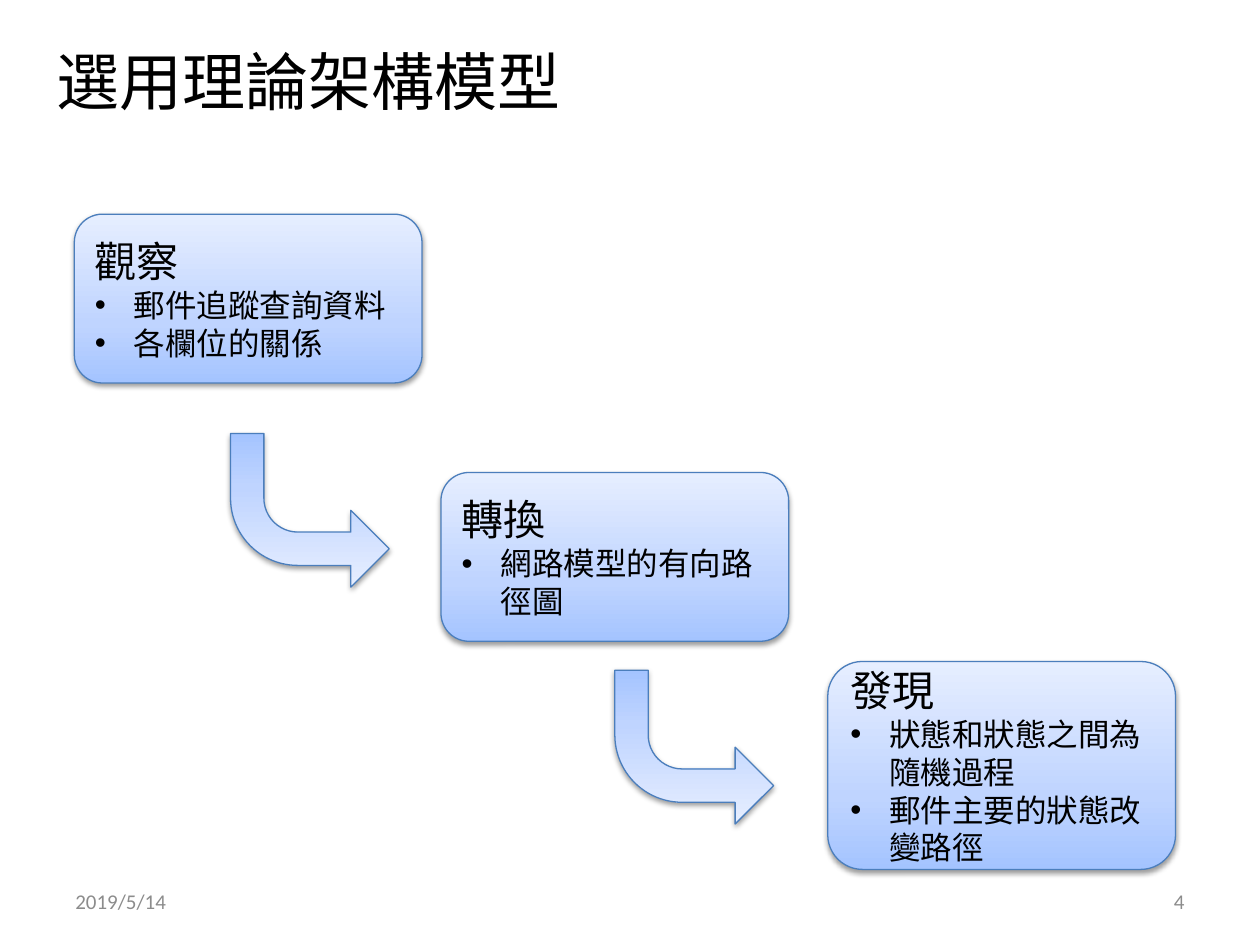
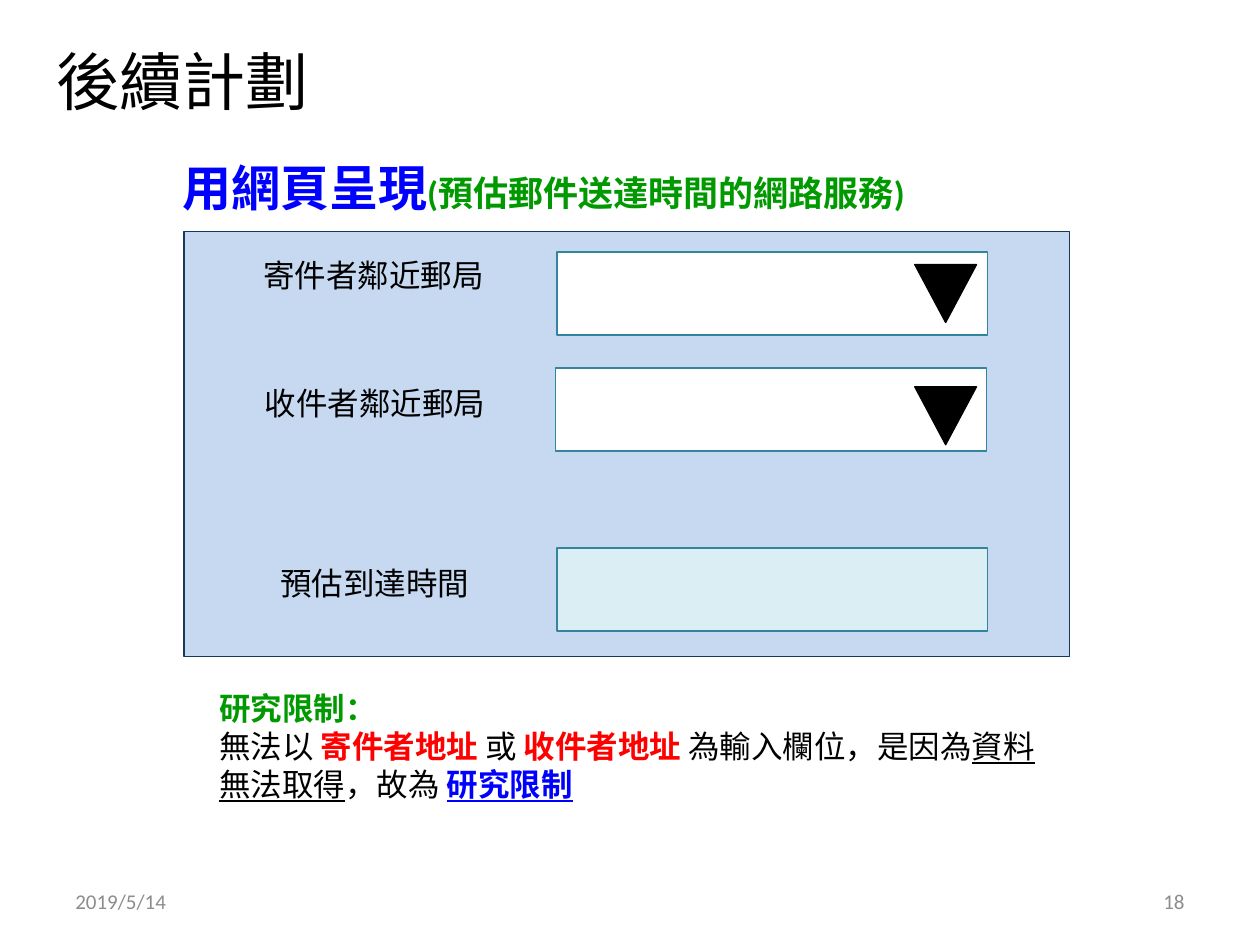
from lxml import etree
from pptx import Presentation
from pptx import util as u
from pptx.dml.color import RGBColor
from pptx.enum import shapes, text
from pptx.oxml import ns, parse_xml

COLORS = {
    "black": "000000", "white": "FFFFFF", "footer": "8C8C8C",
    "blue": "0000FF", "green": "009900", "red": "FF0000",
    "step_line": "4B7EBC", "panel": "C6D9F1", "panel_line": "17375E",
    "field_line": "31859C", "result": "DBEEF4",
}
STEP_GRADIENT = [(0, "A4C4FF"), (35, "BFD4FF"), (100, "E6EEFF")]
CJK_FONT = "Noto Sans CJK SC"
LATIN_FONT = "Calibri"
DATE = "2019/5/14"
KINDS = shapes.MSO_SHAPE
ALIGN = text.PP_ALIGN
ANCHOR = text.MSO_ANCHOR


def rgb(name):
    return RGBColor.from_string(COLORS[name])


def inches(*values):
    return [u.Inches(value) for value in values]


def add_span(para, words, size, color="black", font=LATIN_FONT, **formats):
    span = para.add_run()
    span.text = words
    formats = {"name": font, "size": u.Pt(size), **formats}
    for key, value in formats.items():
        setattr(span.font, key, value)
    span.font.color.rgb = rgb(color)
    east_asian = etree.SubElement(span.font._element, ns.qn("a:ea"))
    east_asian.set("typeface", CJK_FONT)


def prepare_frame(box, anchor):
    frame = box.text_frame
    settings = {"word_wrap": True, "auto_size": text.MSO_AUTO_SIZE.NONE,
                "vertical_anchor": anchor}
    for key, value in settings.items():
        setattr(frame, key, value)
    return frame


def add_text(page, place, paragraphs, align=ALIGN.LEFT, anchor=ANCHOR.TOP):
    frame = prepare_frame(page.shapes.add_textbox(*inches(*place)), anchor)
    for index, spans in enumerate(paragraphs):
        para = frame.add_paragraph() if index else frame.paragraphs[0]
        para.alignment = align
        for words, size, color, formats in spans:
            add_span(para, words, size, color, **formats)


def add_outlined(page, kind, place, line):
    shape = page.shapes.add_shape(kind, *inches(*place))
    shape.shadow.inherit = False
    shape.line.color.rgb = rgb(line)
    shape.line.width = u.Pt(0.75)
    return shape


def add_solid(page, kind, place, fill, line):
    shape = add_outlined(page, kind, place, line)
    shape.fill.solid()
    shape.fill.fore_color.rgb = rgb(fill)
    return shape


def add_glossy(page, kind, place):
    shape = add_outlined(page, kind, place, "step_line")
    properties = shape._element.spPr
    stops = "".join(
        f'<a:gs pos="{share * 1000}"><a:srgbClr val="{color}"/></a:gs>'
        for share, color in STEP_GRADIENT)
    gradient = parse_xml(
        f'<a:gradFill {ns.nsdecls("a")} rotWithShape="1"><a:gsLst>{stops}</a:gsLst>'
        '<a:lin ang="16200000" scaled="0"/></a:gradFill>')
    properties.find(ns.qn("a:prstGeom")).addnext(gradient)
    shadow = parse_xml(
        f'<a:outerShdw {ns.nsdecls("a")} blurRad="{u.Pt(3.1)}" dist="{u.Pt(1.6)}" '
        'dir="5400000" rotWithShape="0"><a:srgbClr val="000000">'
        '<a:alpha val="38000"/></a:srgbClr></a:outerShdw>')
    properties.find(ns.qn("a:effectLst")).append(shadow)
    return shape


def add_bullet(para):
    properties = para._p.get_or_add_pPr()
    properties.set("marL", str(u.Inches(0.31)))
    properties.set("indent", str(u.Inches(-0.31)))
    font = etree.SubElement(properties, ns.qn("a:buFont"))
    font.set("typeface", "Arial")
    etree.SubElement(properties, ns.qn("a:buChar")).set("char", "•")


def add_step(page, place, heading, points):
    card = add_glossy(page, KINDS.ROUNDED_RECTANGLE, place)
    frame = prepare_frame(card, ANCHOR.MIDDLE)
    para = frame.paragraphs[0]
    para.alignment = ALIGN.LEFT
    add_span(para, heading, 24, font=CJK_FONT)
    for point in points:
        para = frame.add_paragraph()
        para.alignment = ALIGN.LEFT
        add_bullet(para)
        add_span(para, point, 18, font=CJK_FONT)


def add_step_arrow(page, left, top):
    arrow = add_glossy(page, KINDS.BENT_ARROW, (left, top, 1.26, 1.22))
    for index, value in enumerate((0.217, 0.25, 0.25, 0.438)):
        arrow.adjustments[index] = value
    arrow._element.spPr.find(ns.qn("a:xfrm")).set("flipV", "1")


def add_page(deck, title, number):
    page = deck.slides.add_slide(deck.slide_layouts[5])
    box = page.shapes.title
    box.left, box.top, box.width, box.height = inches(0.35, 0.29, 4.33, 0.71)
    para = prepare_frame(box, ANCHOR.TOP).paragraphs[0]
    para.alignment = ALIGN.LEFT
    add_span(para, title, 36, font=CJK_FONT)
    for left, words, align in ((0.5, DATE, ALIGN.LEFT), (7.17, number, ALIGN.RIGHT)):
        add_text(page, (left, 6.95, 2.33, 0.4), [[(words, 12, "footer", {})]],
                 align, ANCHOR.MIDDLE)
    return page


def build_model_page(deck):
    page = add_page(deck, "選用理論架構模型", "4")
    steps = [
        ((0.59, 1.7, 2.76, 1.34), "觀察", ["郵件追蹤查詢資料", "各欄位的關係"]),
        ((3.5, 3.75, 2.76, 1.34), "轉換", ["網路模型的有向路徑圖"]),
        ((6.57, 5.25, 2.76, 1.65), "發現",
         ["狀態和狀態之間為隨機過程", "郵件主要的狀態改變路徑"]),
    ]
    for place, heading, points in steps:
        add_step(page, place, heading, points)
    for left, top in ((1.83, 3.44), (4.88, 5.32)):
        add_step_arrow(page, left, top)


def build_plan_page(deck):
    page = add_page(deck, "後續計劃", "18")
    bold = {"bold": True}
    lined = {"underline": True}
    add_solid(page, KINDS.RECTANGLE, (1.46, 1.84, 7.03, 3.37), "panel", "panel_line")
    add_text(page, (1.35, 1.2, 7.13, 0.57), [[
        ("用網頁呈現", 28, "blue", bold),
        ("(預估郵件送達時間的網路服務)", 20, "green", bold)]])
    fields = [
        ("寄件者鄰近郵局", 1.63, 1.98, 4.42, 2, "white"),
        ("收件者鄰近郵局", 1.64, 3, 4.41, 2.92, "white"),
        ("預估到達時間", 1.64, 4.43, 4.42, 4.35, "result"),
    ]
    for label, label_left, label_top, left, top, fill in fields:
        add_text(page, (label_left, label_top, 2.67, 0.4),
                 [[(label, 18, "black", {})]], ALIGN.CENTER)
        add_solid(page, KINDS.RECTANGLE, (left, top, 3.42, 0.66), fill, "field_line")
    for top in (2.1, 3.07):
        marker = add_solid(page, KINDS.ISOSCELES_TRIANGLE, (7.26, top, 0.49, 0.46),
                           "black", "black")
        marker.rotation = 180
    add_text(page, (1.64, 5.42, 6.85, 1.01), [
        [("研究限制：", 18, "green", bold)],
        [("無法以 ", 18, "black", {}),
         ("寄件者地址 ", 18, "red", bold),
         ("或 ", 18, "black", {}),
         ("收件者地址 ", 18, "red", bold),
         ("為輸入欄位，是因為", 18, "black", {}),
         ("資料無法取得", 18, "black", lined),
         ("，故為 ", 18, "black", {}),
         ("研究限制", 18, "blue", {**bold, **lined})],
    ])


def main():
    deck = Presentation()
    deck.slide_width, deck.slide_height = inches(10, 7.5)
    build_model_page(deck)
    build_plan_page(deck)
    deck.save("out.pptx")


main()
